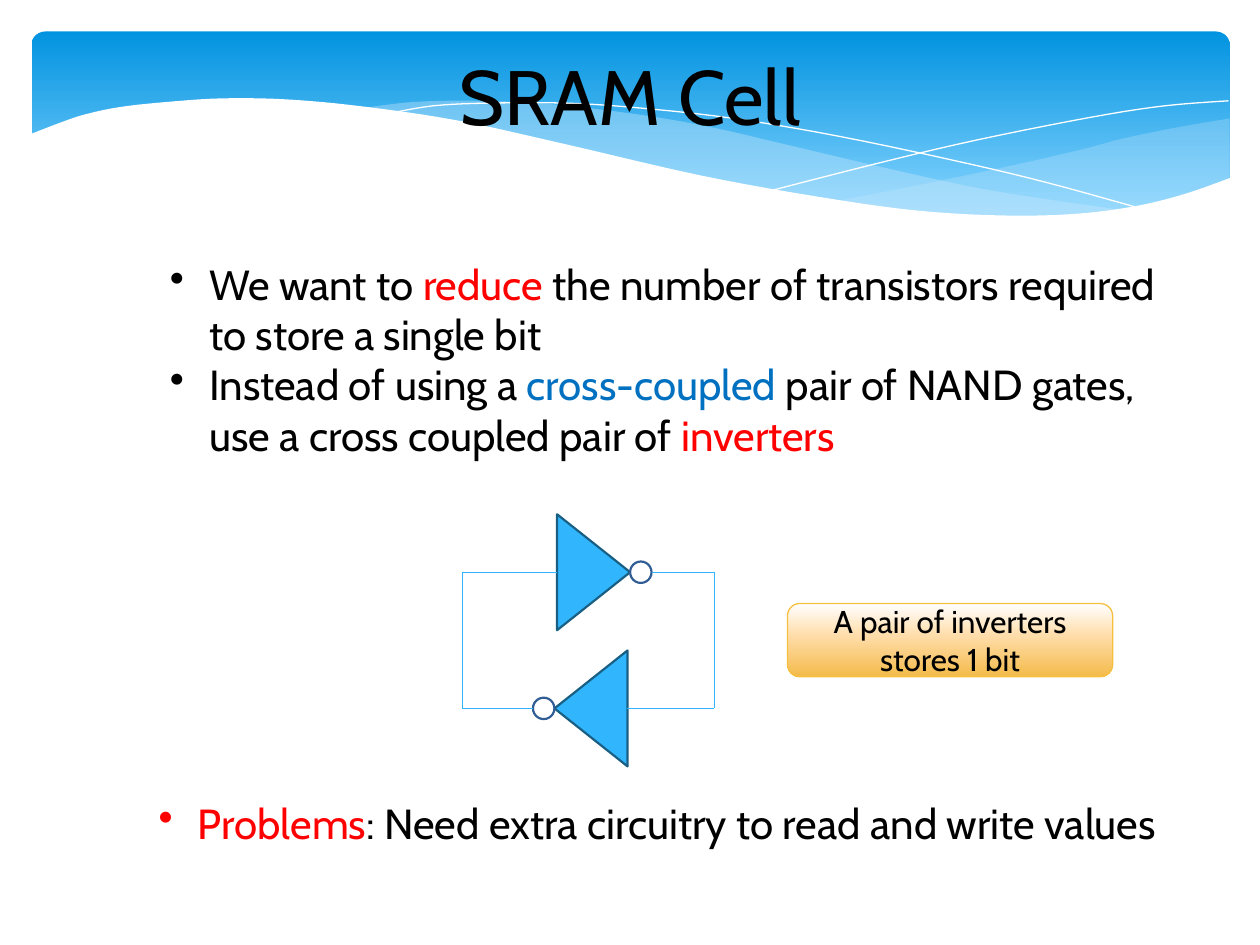
from dataclasses import dataclass

from lxml import etree
from pptx import Presentation
from pptx.dml.color import RGBColor
from pptx.enum.shapes import MSO_CONNECTOR, MSO_SHAPE
from pptx.enum.text import MSO_ANCHOR, PP_ALIGN
from pptx.oxml.ns import qn
from pptx.util import Pt

STRAIGHT = MSO_CONNECTOR.STRAIGHT
ROUNDED, TRIANGLE, OVAL = MSO_SHAPE.ROUNDED_RECTANGLE, MSO_SHAPE.ISOSCELES_TRIANGLE, MSO_SHAPE.OVAL
MIDDLE, TOP, CENTER, LEFT = MSO_ANCHOR.MIDDLE, MSO_ANCHOR.TOP, PP_ALIGN.CENTER, PP_ALIGN.LEFT


@dataclass(frozen=True)
class Theme:
    font: str = "Cabin"
    title_size: int = 44
    body_size: int = 24
    callout_size: int = 18
    text: str = "000000"
    red: str = "FF0000"
    blue: str = "0070C0"
    white: str = "FFFFFF"
    wave: str = "C6E7FC"
    gate: str = "31B6FD"
    gate_edge: str = "195F84"
    bubble_edge: str = "315D95"
    callout_edge: str = "F5C040"
    banner_stops: tuple = ((0, "0293E0"), (90, "83D3FE"))
    callout_stops: tuple = ((0, "FFFFFF"), (44, "FFDDAA"), (100, "F4BB4A"))


THEME = Theme()

LIGHT_WAVE = (
    ((684.7, 49.7), (655.2, 54.7), (623.5, 61.2), (601.9, 67), (561.6, 76.3), (506.9, 87.8), (457.9, 97.2)),
    ((457.9, 97.2), (489.6, 100.8), (527, 104.4), (568.1, 105.8), (603.4, 104.4), (633.6, 99.4),
     (660.2, 92.9), (684.7, 83.5)),
)
BROAD_WAVE = (
    ((187.9, 43.9), (218.2, 40.3), (255.6, 39.6), (300.2, 41.8), (352.1, 48.2), (391.7, 55.4),
     (434.9, 65.5), (490.3, 78.5), (540, 89.3), (584.6, 96.5), (625, 102.2)),
    ((625, 102.2), (599, 105.1), (563, 106.6), (520.6, 104.4), (471.6, 99.4), (414.7, 90),
     (363.6, 79.2), (305.3, 65.5), (257.8, 54.7), (214.6, 46.8), (187.9, 43.9)),
)
FALLING_LINE = (
    ((204.5, 46.8), (229.7, 42.5), (260.6, 41), (306, 41), (349.2, 43.9), (401, 49.7),
     (460.8, 59.8), (529.2, 74.2), (580.3, 86.4), (635, 101.5)),
)
RISING_LINE = (
    ((423.4, 90.7), (482.4, 75.6), (540.7, 61.9), (605.5, 49), (647.3, 42.5), (684, 39.6)),
)
WHITE_WAVE = (
    ((685.4, 83.5), (658.8, 92.9), (629.3, 100.1), (594, 104.4), (553, 105.1), (504.7, 102.2),
     (448.6, 94.3), (381.6, 82.1), (303.8, 64.1), (244.8, 51.1), (192.2, 43.2), (147.6, 38.9),
     (109.4, 38.2), (77, 40.3), (50.4, 43.2), (30.2, 47.5), (15.1, 52.6), (-1.4, 59)),
    ((-1.4, 143.3), (685.4, 143.3)),
)


def rgb(color):
    return RGBColor.from_string(color)


def style(shape, fill=None, edge=None, width=0, alpha=None):
    shape.shadow.inherit = False
    if fill:
        shape.fill.solid()
        shape.fill.fore_color.rgb = rgb(fill)
        if alpha:
            color = shape._element.spPr.find(qn("a:solidFill"))[0]
            etree.SubElement(color, qn("a:alpha"), val=str(alpha * 1000))
    else:
        shape.fill.background()
    if edge:
        shape.line.color.rgb = rgb(edge)
        shape.line.width = Pt(width)
    else:
        shape.line.fill.background()


def set_gradient(shape, stops):
    shape.fill.gradient()
    shape.fill.gradient_angle = 270
    stop_list = shape._element.spPr.find(".//" + qn("a:gsLst"))
    for old in list(stop_list):
        stop_list.remove(old)
    for position, color in stops:
        stop = etree.SubElement(stop_list, qn("a:gs"), pos=str(position * 1000))
        etree.SubElement(stop, qn("a:srgbClr"), val=color)


def add_preset(page, kind, box):
    return page.shapes.add_shape(kind, *map(Pt, box))


def smooth(knots, steps=5):
    ends = [knots[0], *knots, knots[-1]]
    points = [knots[0]]
    for a, b, c, d in zip(ends, ends[1:], ends[2:], ends[3:]):
        for step in range(1, steps + 1):
            t = step / steps
            points.append(tuple(
                (2 * q + (r - p) * t + (2 * p - 5 * q + 4 * r - s) * t**2 + (3 * q - p - 3 * r + s) * t**3) / 2
                for p, q, r, s in zip(a, b, c, d)))
    return points


def add_curve(page, left, top, edges, closed):
    points = [(Pt(left + x), Pt(top + y)) for edge in edges for x, y in smooth(edge)]
    builder = page.shapes.build_freeform(*points[0])
    builder.add_line_segments(points[1:], close=closed)
    return builder.convert_to_shape()


def add_banner(page, box):
    left, top = box[:2]
    panel = add_preset(page, ROUNDED, box)
    panel.adjustments[0] = 0.07
    style(panel)
    set_gradient(panel, THEME.banner_stops)
    for edges, alpha in ((LIGHT_WAVE, 29), (BROAD_WAVE, 40)):
        style(add_curve(page, left, top, edges, True), THEME.wave, alpha=alpha)
    for edges in (FALLING_LINE, RISING_LINE):
        style(add_curve(page, left, top, edges, False), edge=THEME.white)
    style(add_curve(page, left, top, WHITE_WAVE, True), THEME.white)


def format_paragraph(para, size, align):
    para.alignment = align
    para.font.name = THEME.font
    para.font.size = Pt(size)
    para.font.color.rgb = rgb(THEME.text)


def add_title(page, box, text):
    title = page.shapes.title
    page.shapes._spTree.append(title._element)
    title.left, title.top, title.width, title.height = map(Pt, box)
    title.text_frame.text = text
    title.text_frame.vertical_anchor = MIDDLE
    format_paragraph(title.text_frame.paragraphs[0], THEME.title_size, CENTER)


def add_bullets(page, box, items, bullet_color):
    frame = page.shapes.add_textbox(*map(Pt, box)).text_frame
    frame.word_wrap = True
    frame.vertical_anchor = TOP
    for index, item in enumerate(items):
        para = frame.paragraphs[0] if index == 0 else frame.add_paragraph()
        format_paragraph(para, THEME.body_size, LEFT)
        properties = para._p.get_or_add_pPr()
        properties.set("marL", str(Pt(22.5)))
        properties.set("indent", str(Pt(-22.5)))
        color = etree.Element(qn("a:buClr"))
        etree.SubElement(color, qn("a:srgbClr"), val=bullet_color)
        properties.insert(0, color)
        properties.insert(1, etree.Element(qn("a:buChar"), char="•"))
        for text, span_color in item:
            for number, line in enumerate(text.split("\n")):
                if number:
                    para.add_line_break()
                span = para.add_run()
                span.text = line
                span.font.color.rgb = rgb(span_color)


def add_inverter(page, center_x, center_y, direction):
    length, base, bubble = 41.76, 66.24, 12.24
    gate = add_preset(page, TRIANGLE, (center_x - base / 2, center_y - length / 2, base, length))
    gate.rotation = 90 if direction > 0 else 270
    style(gate, THEME.gate, THEME.gate_edge, 1.25)
    bubble_x = center_x + direction * (length + bubble) / 2
    ring = add_preset(page, OVAL, (bubble_x - bubble / 2, center_y - bubble / 2, bubble, bubble))
    style(ring, THEME.white, THEME.bubble_edge, 1.25)
    return center_x - direction * length / 2, bubble_x + direction * bubble / 2


def add_cell(page, box):
    left, top, width, height = box
    right, bottom = left + width, top + height
    upper_in, upper_out = add_inverter(page, left + 75, top, 1)
    lower_in, lower_out = add_inverter(page, left + 73.5, bottom, -1)
    wires = (
        (lower_out, bottom, left, bottom), (left, bottom, left, top), (left, top, upper_in, top),
        (upper_out, top, right, top), (right, top, right, bottom), (lower_in, bottom, right, bottom),
    )
    for ends in wires:
        wire = page.shapes.add_connector(STRAIGHT, *map(Pt, ends))
        wire.line.color.rgb = rgb(THEME.gate)
        wire.line.width = Pt(0.75)
        etree.SubElement(wire._element.spPr, qn("a:effectLst"))


def add_callout(page, box, text):
    callout = add_preset(page, ROUNDED, box)
    style(callout, edge=THEME.callout_edge, width=0.75)
    set_gradient(callout, THEME.callout_stops)
    frame = callout.text_frame
    frame.word_wrap = True
    frame.vertical_anchor = MIDDLE
    frame.text = text
    format_paragraph(frame.paragraphs[0], THEME.callout_size, CENTER)


def main():
    deck = Presentation()
    deck.slide_width, deck.slide_height = Pt(720), Pt(540)
    page = deck.slides.add_slide(deck.slide_layouts[5])
    add_banner(page, (18, 18, 684.7, 112.3))
    add_title(page, (18, 23.8, 684, 60.5), "SRAM Cell")
    add_bullets(page, (90, 144, 596, 124), (
        (("We want to ", THEME.text), ("reduce", THEME.red),
         (" the number of transistors required\nto store a single bit", THEME.text)),
        (("Instead of using a ", THEME.text), ("cross-coupled", THEME.blue),
         (" pair of NAND gates,\nuse a cross coupled pair of ", THEME.text), ("inverters", THEME.red)),
    ), THEME.text)
    add_cell(page, (264.2, 327, 144, 77.8))
    add_callout(page, (450, 344.9, 185.8, 41.8), "A pair of inverters stores 1 bit")
    add_bullets(page, (83.5, 452.2, 599, 36), (
        (("Problems", THEME.red), (": Need extra circuitry to read and write values", THEME.text)),
    ), THEME.red)
    deck.save("out.pptx")


if __name__ == "__main__":
    main()
